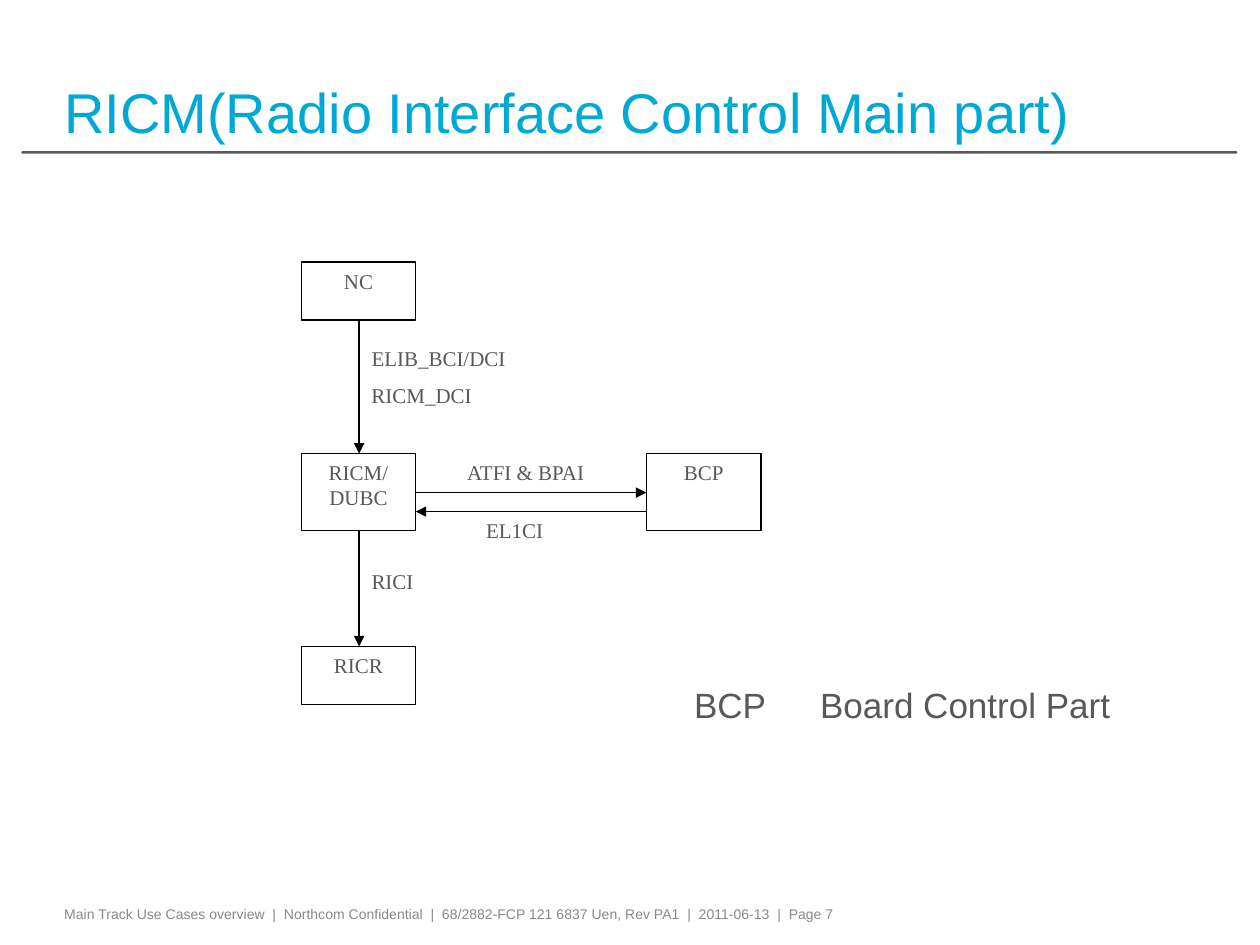
from pptx import Presentation
from pptx.dml.color import RGBColor
from pptx.enum.shapes import MSO_CONNECTOR, MSO_SHAPE
from pptx.enum.text import MSO_ANCHOR as ANCHOR, MSO_AUTO_SIZE, PP_ALIGN as ALIGN
from pptx.oxml.ns import qn
from pptx.util import Inches, Pt
from lxml.etree import SubElement

GREY, BLACK, WHITE = "58585A", "000000", "FFFFFF"


def rgb(value):
    return RGBColor.from_string(value)


def write(tf, text, size=12, font="Times New Roman", color=GREY, align=ALIGN.LEFT,
          anchor=ANCHOR.TOP, inset=(0.1, 0.05), wrap=True):
    tf.word_wrap, tf.auto_size, tf.vertical_anchor = wrap, MSO_AUTO_SIZE.NONE, anchor
    tf.margin_left = tf.margin_right = Inches(inset[0])
    tf.margin_top = tf.margin_bottom = Inches(inset[1])
    for i, line in enumerate(text.split("\n")):
        p = tf.add_paragraph() if i else tf.paragraphs[0]
        p.alignment = align
        r = p.add_run()
        r.text = line
        r.font.size, r.font.name = Pt(size), font
        r.font.color.rgb = rgb(color)


class Diagram:
    """Draws the titled interface diagram on one slide."""

    def __init__(self, prs):
        self.s = prs.slides.add_slide(prs.slide_layouts[5])

    def title(self, text, x, y, w, h):
        sp = self.s.shapes.title
        sp.left, sp.top, sp.width, sp.height = map(Inches, (x, y, w, h))
        write(sp.text_frame, text, size=32, font="Arial", color="00A9D4",
              anchor=ANCHOR.BOTTOM, inset=(0.08, 0))

    def shape(self, kind, x, y, w, h, fill=WHITE, line=None):
        sp = self.s.shapes.add_shape(kind, *map(Inches, (x, y, w, h)))
        sp.shadow.inherit = False
        sp.fill.solid()
        sp.fill.fore_color.rgb = rgb(fill)
        if line:
            sp.line.color.rgb = rgb(line)
            sp.line.width = Pt(0.75)
        else:
            sp.line.fill.background()
        return sp

    def rule(self, x, y, w, h):
        sp = self.shape(MSO_SHAPE.ROUNDED_RECTANGLE, x, y, w, h, fill=GREY)
        sp.adjustments[0] = 0.5

    def box(self, text, x, y, h):
        sp = self.shape(MSO_SHAPE.RECTANGLE, x, y, 0.91, h, line=BLACK)
        write(sp.text_frame, text, align=ALIGN.CENTER)

    def label(self, text, x, y, w):
        sp = self.shape(MSO_SHAPE.RECTANGLE, x, y, w, 0.37)
        write(sp.text_frame, text)

    def arrow(self, *ends):
        line = self.s.shapes.add_connector(MSO_CONNECTOR.STRAIGHT, *map(Inches, ends))
        line.line.color.rgb = rgb(BLACK)
        line.line.width = Pt(0.75)
        SubElement(line.line._get_or_add_ln(), qn("a:tailEnd"), type="triangle")
        SubElement(line._element.spPr, qn("a:effectLst"))

    def text(self, text, x, y, w, h, tab=None, **style):
        tf = self.s.shapes.add_textbox(*map(Inches, (x, y, w, h))).text_frame
        write(tf, text, font="Arial", **style)
        if tab:
            tabs = SubElement(tf.paragraphs[0]._p.get_or_add_pPr(), qn("a:tabLst"))
            SubElement(tabs, qn("a:tab"), pos=str(Inches(tab)), algn="l")


def main():
    prs = Presentation()
    prs.slide_width, prs.slide_height = Inches(10), Inches(7.5)
    d = Diagram(prs)
    d.rule(0.17, 1.2, 9.65, 0.02)
    d.text("Main Track Use Cases overview  |  Northcom Confidential  |  "
           "68/2882-FCP 121 6837 Uen, Rev PA1  |  2011-06-13  |  Page 7",
           0.43, 7.14, 8.09, 0.24, size=8, color="87888A", inset=(0.08, 0.05))
    d.title("RICM(Radio Interface Control Main part)", 0.43, 0.62, 8.56, 0.53)

    left, right, axis = 2.39, 5.13, 2.85
    for label in (("RICM_DCI", axis, 2.99, 1.17), ("ATFI & BPAI", 3.61, 3.6, 1.37),
                  ("EL1CI", 3.76, 4.06, 0.91), ("RICI", axis, 4.46, 0.91),
                  ("ELIB_BCI/DCI", axis, 2.69, 1.68)):
        d.label(*label)
    for box in (("NC", left, 2.08, 0.46), ("RICM/\nDUBC", left, 3.6, 0.61),
                ("BCP", right, 3.6, 0.61), ("RICR", left, 5.13, 0.46)):
        d.box(*box)
    for ends in ((3.3, 3.91, right, 3.91), (right, 4.06, 3.3, 4.06),
                 (axis, 2.54, axis, 3.6), (axis, 4.21, axis, 5.13)):
        d.arrow(*ends)

    d.text("BCP\tBoard Control Part", 5.41, 5.37, 3.58, 0.44, tab=1, size=20,
           anchor=ANCHOR.MIDDLE, wrap=False)
    prs.save("out.pptx")


if __name__ == "__main__":
    main()
